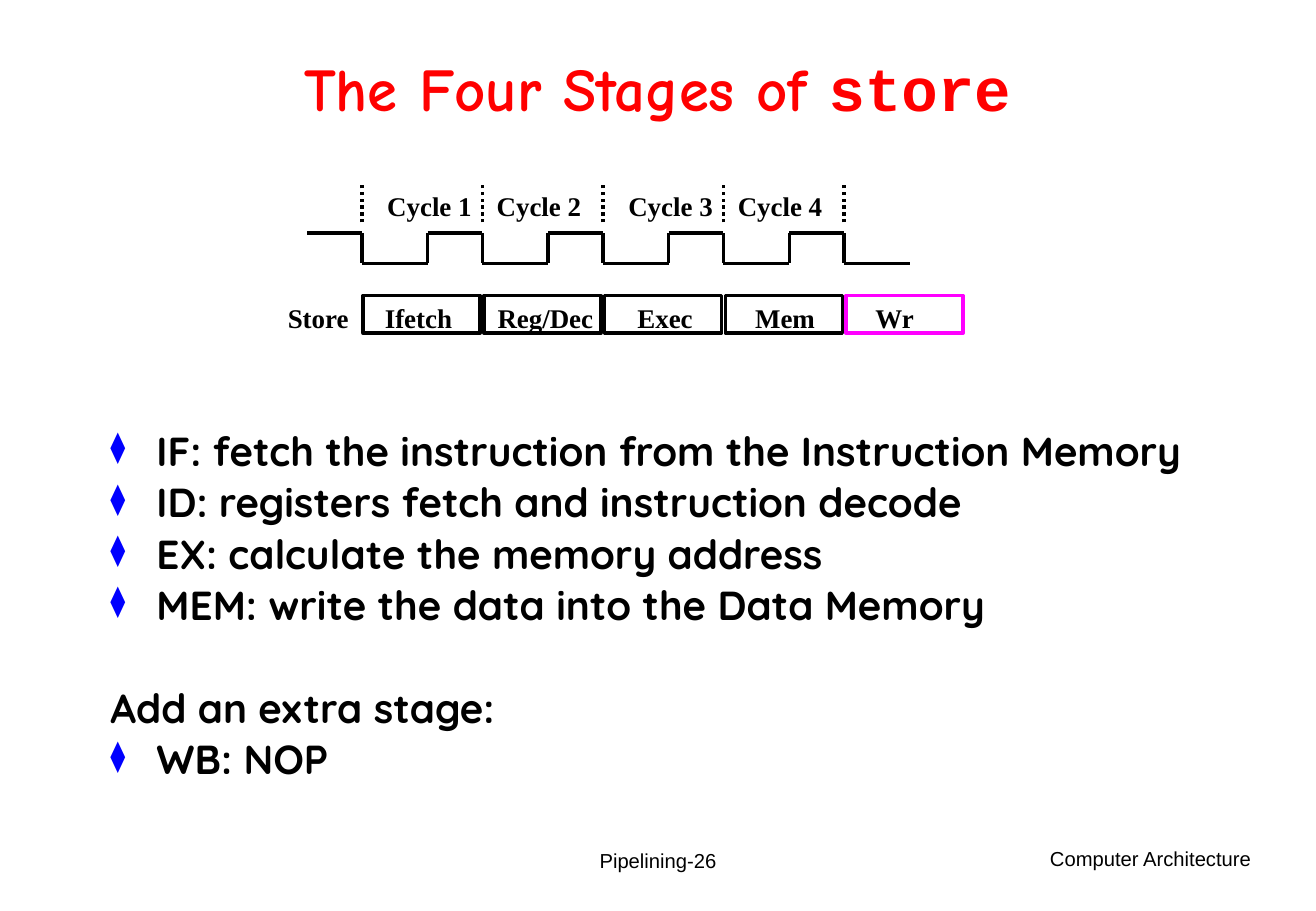
import pptx
import pptx.util
import pptx.dml.color
import pptx.enum.dml
import pptx.enum.shapes
import pptx.enum.text
import lxml.etree

Pt = pptx.util.Pt
ALIGN = pptx.enum.text.PP_ALIGN
ANCHOR = pptx.enum.text.MSO_ANCHOR

# Content
TITLE = [("The Four Stages of ", "Comic Neue"), ("store", "Courier New")]
CYCLES = [("Cycle 1", 8), ("Cycle 2", 1.4), ("Cycle 3", 8), ("Cycle 4", 1.4)]
# Stage name, label inset from its box, label width, outline
STAGES = [
    ("Ifetch", 5.8, 54.7, "000000"),
    ("Reg/Dec", 1, 71.3, "000000"),
    ("Exec", 12.4, 47.5, "000000"),
    ("Mem", 10.6, 49.7, "000000"),
    ("Wr", 10.3, 37.4, "FF00FF"),
]
# Text, has bullet, space before
POINTS = [
    ("IF: fetch the instruction from the Instruction Memory", True, 4.5),
    ("ID: registers fetch and instruction decode", True, 4.5),
    ("EX: calculate the memory address", True, 4.5),
    ("MEM: write the data into the Data Memory", True, 4.5),
    ("Add an extra stage:", False, 35),
    ("WB: NOP", True, 4.5),
]

# Formats
LABEL = {"name": "Times New Roman", "size": Pt(16), "bold": True}
POINT = {"name": "Quicksand", "size": Pt(24), "bold": True}
FOOTER = {"name": "Arial", "size": Pt(12)}

# Timing diagram geometry
CLOCK_LEFT, CYCLE_WIDTH = 214.6, 71.5
LOW_WIDTH, HIGH_WIDTH = 39, 32.5
HIGH_Y, LOW_Y = 138.2, 156.2
TICK_TOP, TICK_BOTTOM = 108, 131.8
STAGE_LEFT, STAGE_STEP = 215.4, 71.6
STAGE_TOP, STAGE_WIDTH, STAGE_HEIGHT = 175.2, 69.4, 22.3
LABEL_TOP = 175.4

deck = pptx.Presentation()
deck.slide_width, deck.slide_height = Pt(780.48), Pt(540)
slide = deck.slides.add_slide(deck.slide_layouts[5])
shapes = slide.shapes


def color(hex_value):
    return pptx.dml.color.RGBColor.from_string(hex_value)


def style(font, formats, hex_value="000000"):
    for key, value in formats.items():
        setattr(font, key, value)
    font.color.rgb = color(hex_value)


def add_text(text, left, top, width, height, formats, wrap=False,
             align=ALIGN.LEFT, anchor=ANCHOR.TOP):
    frame = shapes.add_textbox(Pt(left), Pt(top), Pt(width), Pt(height)).text_frame
    frame.word_wrap = wrap
    frame.vertical_anchor = anchor
    paragraph = frame.paragraphs[0]
    paragraph.alignment = align
    run = paragraph.add_run()
    run.text = text
    style(run.font, formats)


def add_line(x1, y1, x2, y2, dotted=False):
    line = shapes.add_connector(pptx.enum.shapes.MSO_CONNECTOR.STRAIGHT,
                                Pt(x1), Pt(y1), Pt(x2), Pt(y2))
    line.line.width = Pt(2)
    line.line.color.rgb = color("000000")
    if dotted:
        line.line.dash_style = pptx.enum.dml.MSO_LINE.ROUND_DOT
    lxml.etree.SubElement(line._element.spPr, pptx.oxml.ns.qn("a:effectLst"))


def set_bullet(paragraph, bulleted):
    props = paragraph._p.get_or_add_pPr()
    props.set("marL", str(Pt(27.4)))
    props.set("indent", str(-Pt(27.4)))
    if not bulleted:
        lxml.etree.SubElement(props, pptx.oxml.ns.qn("a:buNone"))
        return
    bullet_color = lxml.etree.SubElement(props, pptx.oxml.ns.qn("a:buClr"))
    lxml.etree.SubElement(bullet_color, pptx.oxml.ns.qn("a:srgbClr"), val="0000FF")
    lxml.etree.SubElement(props, pptx.oxml.ns.qn("a:buSzPct"), val="75000")
    lxml.etree.SubElement(props, pptx.oxml.ns.qn("a:buChar"), char="⧫")


# Title
title = shapes.title
title.left, title.top, title.width, title.height = Pt(58.3), Pt(19.4), Pt(663.1), Pt(71.3)
title.text_frame.vertical_anchor = ANCHOR.MIDDLE
heading = title.text_frame.paragraphs[0]
heading.alignment = ALIGN.CENTER
heading.line_spacing = 0.85
for text, typeface in TITLE:
    run = heading.add_run()
    run.text = text
    style(run.font, {"name": typeface, "size": Pt(36), "bold": True}, "FF0000")

# Clock: a high lead-in, then a falling edge at each cycle start
add_line(CLOCK_LEFT - HIGH_WIDTH, HIGH_Y, CLOCK_LEFT, HIGH_Y)
for number in range(len(CYCLES) + 1):
    start = CLOCK_LEFT + number * CYCLE_WIDTH
    rise = start + LOW_WIDTH
    add_line(start, TICK_BOTTOM, start, TICK_TOP, dotted=True)
    add_line(start, HIGH_Y, start, LOW_Y)
    add_line(start, LOW_Y, rise, LOW_Y)
    if number < len(CYCLES):
        add_line(rise, LOW_Y, rise, HIGH_Y)
        add_line(rise, HIGH_Y, rise + HIGH_WIDTH, HIGH_Y)
        name, inset = CYCLES[number]
        add_text(name, start + inset, 108.7, 64.8, 26.6, LABEL)

# Pipeline stages
add_text("Store", 163.6, LABEL_TOP, 51.1, 26.6, LABEL)
for number, (name, inset, width, outline) in enumerate(STAGES):
    left = STAGE_LEFT + number * STAGE_STEP
    box = shapes.add_shape(pptx.enum.shapes.MSO_SHAPE.RECTANGLE, Pt(left), Pt(STAGE_TOP),
                           Pt(STAGE_WIDTH), Pt(STAGE_HEIGHT))
    box.shadow.inherit = False
    box.fill.background()
    box.line.width = Pt(2)
    box.line.color.rgb = color(outline)
    add_text(name, left + inset, LABEL_TOP, width, 26.6, LABEL)

# Stage explanations
points = shapes.add_textbox(Pt(58.3), Pt(252.2), Pt(663.1), Pt(230)).text_frame
points.word_wrap = True
for number, (text, bulleted, gap) in enumerate(POINTS):
    paragraph = points.add_paragraph() if number else points.paragraphs[0]
    paragraph.line_spacing = 0.9
    paragraph.space_before = Pt(gap)
    set_bullet(paragraph, bulleted)
    run = paragraph.add_run()
    run.text = text
    style(run.font, POINT)

# Footer
add_text("Pipelining-26", 266.8, 492.2, 247, 36, FOOTER, True, ALIGN.CENTER, ANCHOR.MIDDLE)
add_text("Computer Architecture", 542.6, 497.9, 206.6, 36, FOOTER, True, ALIGN.RIGHT)

deck.save("out.pptx")
